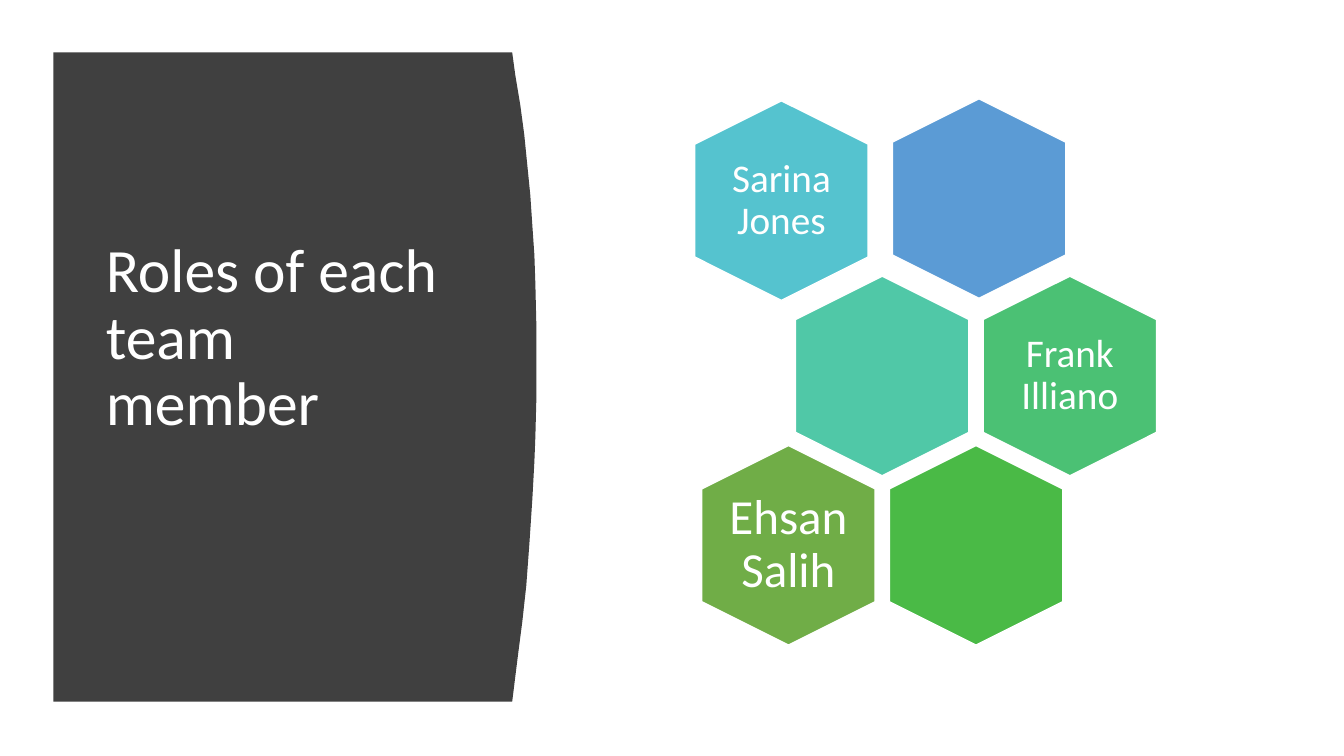
from dataclasses import dataclass

import pptx
import pptx.dml.color
import pptx.enum.shapes
import pptx.enum.text
import pptx.util

SCALE = 9144  # EMU per px, 100 px to the inch
FONT = "Calibri"
COLORS = {
    "white": "FFFFFF",
    "panel": "404040",
    "blue": "5B9BD5",
    "aqua": "55C3CF",
    "teal": "50C8A7",
    "mint": "4BC174",
    "green": "4ABA46",
    "olive": "70AD47",
}


@dataclass
class Hex:
    left: int
    top: int
    color: str
    label: str = ""
    size: int = 28


HEX_W, HEX_H = 198, 172
LABEL_W, LABEL_H = 118, 136
CELLS = [
    Hex(872, 111, "blue"),
    Hex(676, 113, "aqua", "Sarina Jones"),
    Hex(776, 287, "teal"),
    Hex(962, 287, "mint", "Frank Illiano"),
    Hex(869, 455, "green"),
    Hex(683, 455, "olive", "Ehsan Salih", 35),
]

# Panel outline, with its bowed right edge from top to bottom
PANEL = [
    (53, 52), (508, 52), (511, 74), (516, 104), (520, 134), (523, 164),
    (526, 194), (528, 224), (530, 253), (531, 282), (532, 325), (532, 394),
    (531, 433), (530, 458), (528, 495), (525, 540), (522, 581), (518, 617),
    (514, 648), (511, 672), (508, 696), (53, 696),
]


def px(count: int) -> pptx.util.Emu:
    return pptx.util.Emu(count * SCALE)


def rgb(name: str) -> pptx.dml.color.RGBColor:
    return pptx.dml.color.RGBColor.from_string(COLORS[name])


def add_text(slide, text: str, left: int, top: int, width: int, height: int, *,
             size: int, align: str = "LEFT", inset: tuple = (0, 0, 0, 0)) -> None:
    frame = slide.shapes.add_textbox(px(left), px(top), px(width), px(height)).text_frame
    frame.word_wrap = True
    frame.vertical_anchor = pptx.enum.text.MSO_ANCHOR.MIDDLE
    (frame.margin_left, frame.margin_top,
     frame.margin_right, frame.margin_bottom) = map(px, inset)
    para = frame.paragraphs[0]
    para.alignment = pptx.enum.text.PP_ALIGN[align]
    para.line_spacing = 0.9
    run = para.add_run()
    run.text = text
    run.font.name = FONT
    run.font.size = pptx.util.Pt(size)
    run.font.color.rgb = rgb("white")


def add_panel(slide) -> None:
    pen = slide.shapes.build_freeform(*PANEL[0], scale=SCALE)
    pen.add_line_segments(PANEL[1:], close=True)
    panel = pen.convert_to_shape()
    panel.shadow.inherit = False
    panel.fill.solid()
    panel.fill.fore_color.rgb = rgb("panel")
    panel.line.fill.background()


def add_hex(slide, cell: Hex) -> None:
    shape = slide.shapes.add_shape(
        pptx.enum.shapes.MSO_SHAPE.HEXAGON,
        px(cell.left), px(cell.top), px(HEX_W), px(HEX_H))
    shape.rotation = 90
    shape.adjustments[0] = 0.25
    shape.shadow.inherit = False
    shape.fill.solid()
    shape.fill.fore_color.rgb = rgb(cell.color)
    shape.line.color.rgb = rgb("white")
    shape.line.width = pptx.util.Pt(1)
    if cell.label:
        # The label stays upright, centred on the turned shape
        add_text(slide, cell.label,
                 cell.left + (HEX_W - LABEL_W) // 2,
                 cell.top + (HEX_H - LABEL_H) // 2,
                 LABEL_W, LABEL_H, size=cell.size, align="CENTER")


def main() -> None:
    deck = pptx.Presentation()
    deck.slide_width, deck.slide_height = px(1333), px(750)
    slide = deck.slides.add_slide(deck.slide_layouts[6])

    # Title panel; the insets lift the title and wrap it onto three lines
    add_panel(slide)
    add_text(slide, "Roles of each team member", 94, 111, 374, 524,
             size=44, inset=(11, 5, 25, 78))

    # Team honeycomb
    for cell in CELLS:
        add_hex(slide, cell)

    deck.save("out.pptx")


if __name__ == "__main__":
    main()
